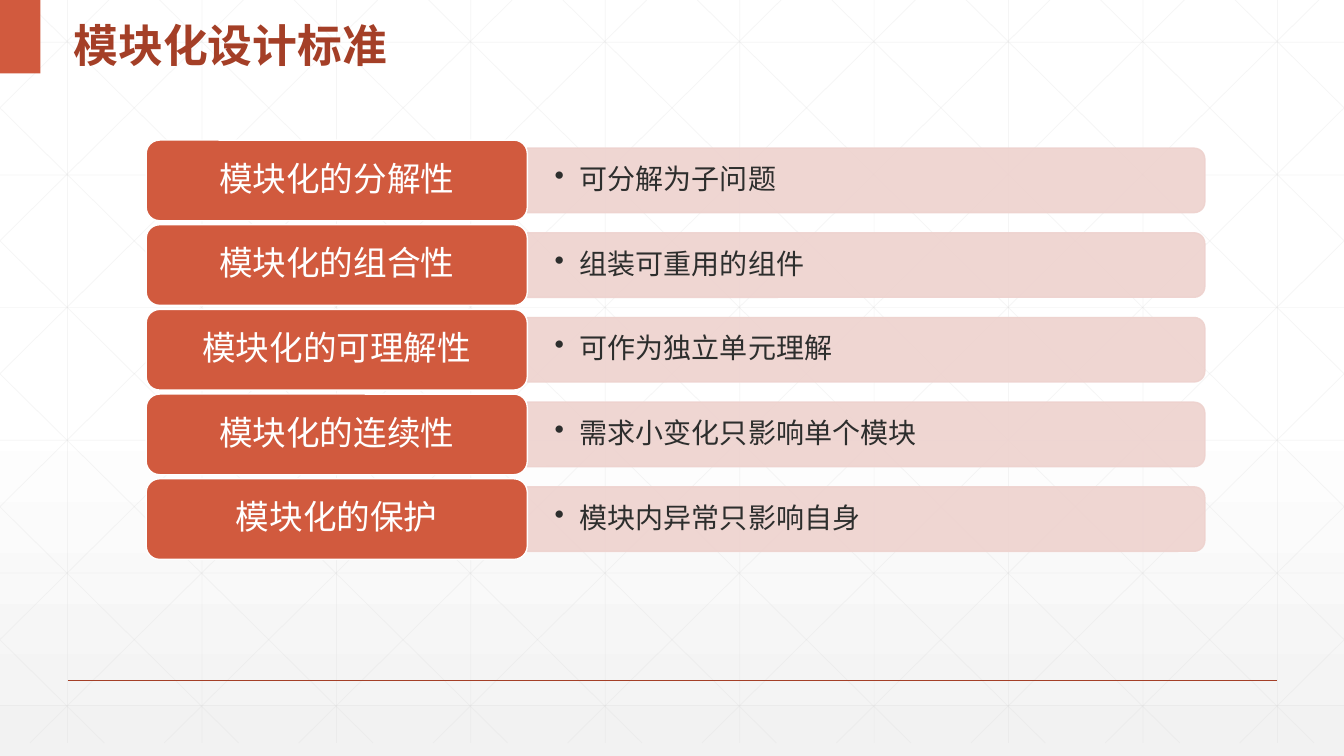
from lxml import etree
from pptx import Presentation
from pptx.dml.color import RGBColor
from pptx.enum.shapes import MSO_CONNECTOR, MSO_SHAPE
from pptx.enum.text import MSO_ANCHOR, PP_ALIGN
from pptx.oxml.ns import qn
from pptx.util import Inches, Pt

STRAIGHT = MSO_CONNECTOR.STRAIGHT
RECTANGLE = MSO_SHAPE.RECTANGLE
ROUNDED = MSO_SHAPE.ROUNDED_RECTANGLE
ROUND_TOP = MSO_SHAPE.ROUND_2_SAME_RECTANGLE
MIDDLE = MSO_ANCHOR.MIDDLE
CENTER = PP_ALIGN.CENTER

WIDTH, HEIGHT = 13.33, 7.5
GRID_BOTTOM = 7.37
GRID_STEP_X, GRID_STEP_Y = 4 / 3, 1.316
DIAGONAL_START, DIAGONAL_RUN = 0.25, 7.45

ORANGE, DARK_RED, PINK = "D15A3E", "A43F27", "EED2CE"
WHITE, INK, GRID_GRAY, PALE_GRAY = "FFFFFF", "2D2E2D", "D9D9D9", "F2F2F2"
LATIN_FONT, TITLE_FONT = "Arial", "Noto Sans CJK SC"

CRITERIA = [
    ("模块化的分解性", "可分解为子问题"),
    ("模块化的组合性", "组装可重用的组件"),
    ("模块化的可理解性", "可作为独立单元理解"),
    ("模块化的连续性", "需求小变化只影响单个模块"),
    ("模块化的保护", "模块内异常只影响自身"),
]
FIRST_CENTER, ROW_STEP = 1.79, 0.84
LABEL_LEFT, LABEL_WIDTH, LABEL_HEIGHT = 1.45, 3.78, 0.8
BAND_LEFT, BAND_WIDTH, BAND_HEIGHT = LABEL_LEFT + LABEL_WIDTH, 6.72, 0.64


def color(value):
    return RGBColor.from_string(value)


def set_opacity(fill_parent, percent):
    """Make the solid fill directly under the given element translucent."""
    solid = fill_parent.find(qn("a:solidFill"))
    etree.SubElement(solid[0], qn("a:alpha"), val=str(percent * 1000))


def add_line(slide, start, end, line_color, points, opacity=100):
    line = slide.shapes.add_connector(
        STRAIGHT, *(Inches(value) for value in (*start, *end)))
    line.line.color.rgb = color(line_color)
    line.line.width = Pt(points)
    properties = line._element.spPr
    if opacity < 100:
        set_opacity(properties.find(qn("a:ln")), opacity)
    etree.SubElement(properties, qn("a:effectLst"))


def add_box(slide, kind, left, top, width, height, fill, outline=None):
    box = slide.shapes.add_shape(
        kind, Inches(left), Inches(top), Inches(width), Inches(height))
    box.shadow.inherit = False
    box.fill.solid()
    box.fill.fore_color.rgb = color(fill)
    if outline:
        box.line.color.rgb = color(outline)
        box.line.width = Pt(1)
    else:
        box.line.fill.background()
    return box


def add_text_box(slide, left, top, width, height):
    return slide.shapes.add_textbox(
        Inches(left), Inches(top), Inches(width), Inches(height))


def add_bullet(paragraph):
    paragraph.level = 1
    properties = paragraph._p.get_or_add_pPr()
    properties.set("marL", str(Inches(0.25)))
    properties.set("indent", str(Inches(-0.25)))
    etree.SubElement(properties, qn("a:buChar"), char="•")


def write_text(shape, text, size, text_color, font=LATIN_FONT, bold=False,
               spacing=0.9, bullet=False):
    frame = shape.text_frame
    frame.word_wrap = True
    frame.vertical_anchor = MIDDLE
    paragraph = frame.paragraphs[0]
    paragraph.text = text
    if bullet:
        add_bullet(paragraph)
    paragraph.line_spacing = spacing
    paragraph.font.name = font
    paragraph.font.size = Pt(size)
    paragraph.font.bold = bold
    paragraph.font.color.rgb = color(text_color)
    return paragraph


def set_background(slide):
    fill = slide.background.fill
    fill.gradient()
    fill.gradient_angle = 270
    for stop, position, value in zip(
            fill.gradient_stops, (0.53, 1), (WHITE, PALE_GRAY)):
        stop.position = position
        stop.color.rgb = color(value)


def add_grid(slide):
    """Draw the faint grid with diagonals clipped to the slide's sides."""
    lines = []
    for index in range(10):
        x = 0.67 + index * GRID_STEP_X
        lines.append(((x, 0), (x, GRID_BOTTOM)))
    for index in range(6):
        y = 0.42 + index * GRID_STEP_Y
        lines.append(((0, y), (WIDTH, y)))
    for index in range(-5, 10):
        origin = DIAGONAL_START + index * GRID_STEP_X
        ends = [(x, (x - origin) * GRID_BOTTOM / DIAGONAL_RUN)
                for x in (max(0, origin), min(WIDTH, origin + DIAGONAL_RUN))]
        lines.append(ends)
        lines.append([(WIDTH - x, y) for x, y in ends])
    for start, end in lines:
        add_line(slide, start, end, GRID_GRAY, 0.5, 25)


def add_band(slide, center, text):
    """Draw a band with its rounded end on the right, and its bullet."""
    band = add_box(
        slide, ROUND_TOP, BAND_LEFT + (BAND_WIDTH - BAND_HEIGHT) / 2,
        center - BAND_WIDTH / 2, BAND_HEIGHT, BAND_WIDTH, PINK, PINK)
    band.rotation = 90
    properties = band._element.spPr
    set_opacity(properties, 90)
    set_opacity(properties.find(qn("a:ln")), 90)

    box = add_text_box(slide, BAND_LEFT, center - 0.29, 6.69, 0.58)
    frame = box.text_frame
    frame.margin_left = frame.margin_right = Inches(0.27)
    frame.margin_top = frame.margin_bottom = Inches(0.14)
    write_text(box, text, 20, INK, bullet=True)


def add_label(slide, center, text):
    label = add_box(slide, ROUNDED, LABEL_LEFT, center - LABEL_HEIGHT / 2,
                    LABEL_WIDTH, LABEL_HEIGHT, ORANGE, WHITE)
    write_text(label, text, 24, WHITE).alignment = CENTER


def main():
    presentation = Presentation()
    presentation.slide_width = Inches(WIDTH)
    presentation.slide_height = Inches(HEIGHT)
    slide = presentation.slides.add_slide(presentation.slide_layouts[6])

    set_background(slide)
    add_grid(slide)
    add_line(slide, (0.67, 6.75), (12.67, 6.75), DARK_RED, 1)
    add_box(slide, RECTANGLE, 0, 0, 0.4, 0.73, ORANGE)
    title = add_text_box(slide, 0.63, 0, 5.69, 0.73)
    write_text(title, "模块化设计标准", 32, DARK_RED, TITLE_FONT, True, 1.3)

    for row, (name, meaning) in enumerate(CRITERIA):
        center = FIRST_CENTER + row * ROW_STEP
        add_band(slide, center, meaning)
        add_label(slide, center, name)

    presentation.save("out.pptx")


if __name__ == "__main__":
    main()
